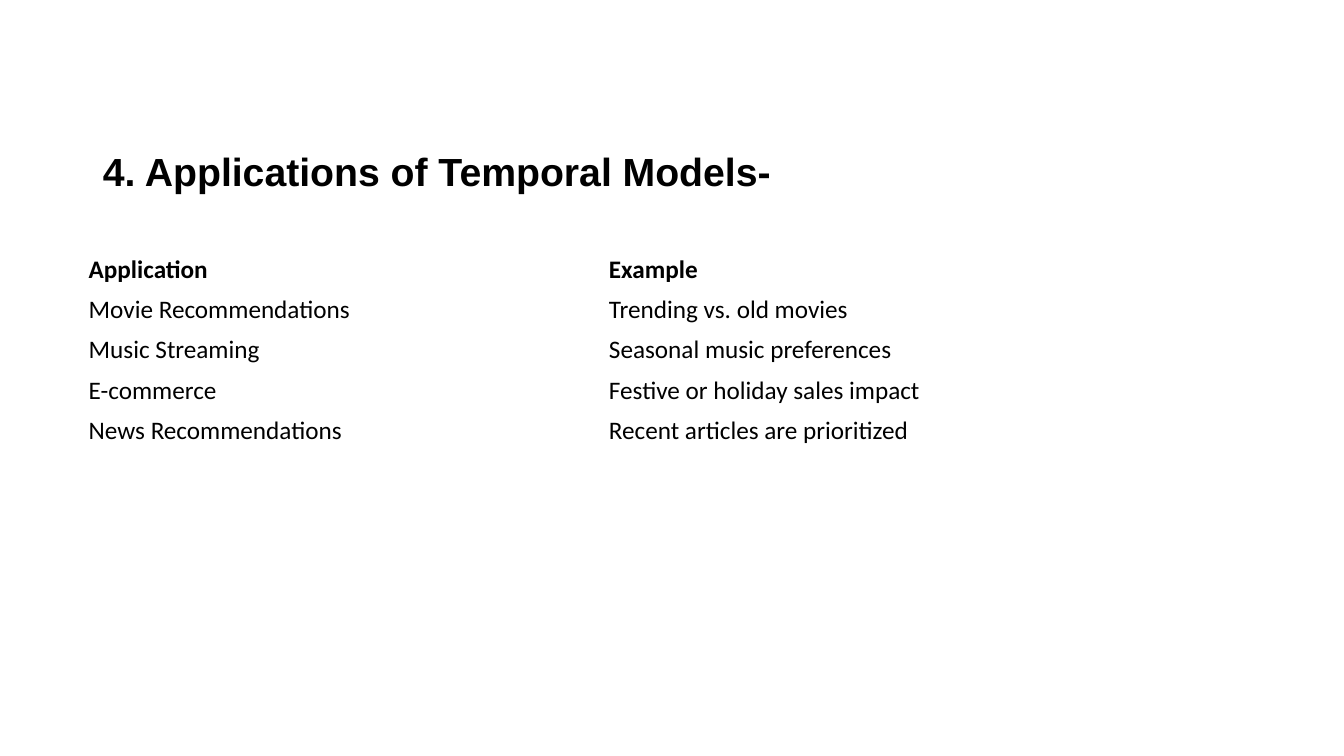
from dataclasses import dataclass

from pptx import Presentation
from pptx import util as u
from pptx.dml import color
from pptx.enum import text


@dataclass(frozen=True)
class Theme:
    ink: color.RGBColor = color.RGBColor(0, 0, 0)
    title_font: str = "Arial"
    body_font: str = "Calibri"
    title_size: int = 28
    body_size: int = 18


theme = Theme()


def write_text(frame, content, font, size, bold=False):
    """Put one left-aligned, vertically centred line of text in a frame."""
    frame.vertical_anchor = text.MSO_ANCHOR.MIDDLE
    paragraph = frame.paragraphs[0]
    paragraph.alignment = text.PP_ALIGN.LEFT
    paragraph.line_spacing = 1.0
    paragraph.space_before = u.Pt(0)
    run = paragraph.add_run()
    run.text = content
    run.font.name = font
    run.font.size = u.Pt(size)
    run.font.bold = bold
    run.font.color.rgb = theme.ink


# Slide with a title placeholder
presentation = Presentation()
presentation.slide_width = u.Inches(13.33)
presentation.slide_height = u.Inches(7.5)
slide = presentation.slides.add_slide(presentation.slide_layouts[5])

# Title
title = slide.shapes.title
title.left, title.top = u.Inches(0.92), u.Inches(1.41)
title.width, title.height = u.Inches(6.91), u.Inches(0.57)
title.text_frame.word_wrap = False
title.text_frame.auto_size = text.MSO_AUTO_SIZE.SHAPE_TO_FIT_TEXT
write_text(title.text_frame, "4. Applications of Temporal Models-",
           font=theme.title_font, size=theme.title_size, bold=True)

# Table of applications, with a bold heading row
applications = [
    ("Application", "Example"),
    ("Movie Recommendations", "Trending vs. old movies"),
    ("Music Streaming", "Seasonal music preferences"),
    ("E-commerce", "Festive or holiday sales impact"),
    ("News Recommendations", "Recent articles are prioritized"),
]
column_width, row_height = u.Inches(5.16), u.Inches(0.4)
row_count, column_count = len(applications), len(applications[0])
table = slide.shapes.add_table(
    row_count, column_count, u.Inches(0.78), u.Inches(2.47),
    column_width * column_count, row_height * row_count).table
table.first_row = False
table.horz_banding = False

for row_index, row in enumerate(applications):
    for column_index, content in enumerate(row):
        cell = table.cell(row_index, column_index)
        cell.fill.background()
        cell.vertical_anchor = text.MSO_ANCHOR.MIDDLE
        write_text(cell.text_frame, content, font=theme.body_font,
                   size=theme.body_size, bold=row_index == 0)

presentation.save("out.pptx")
